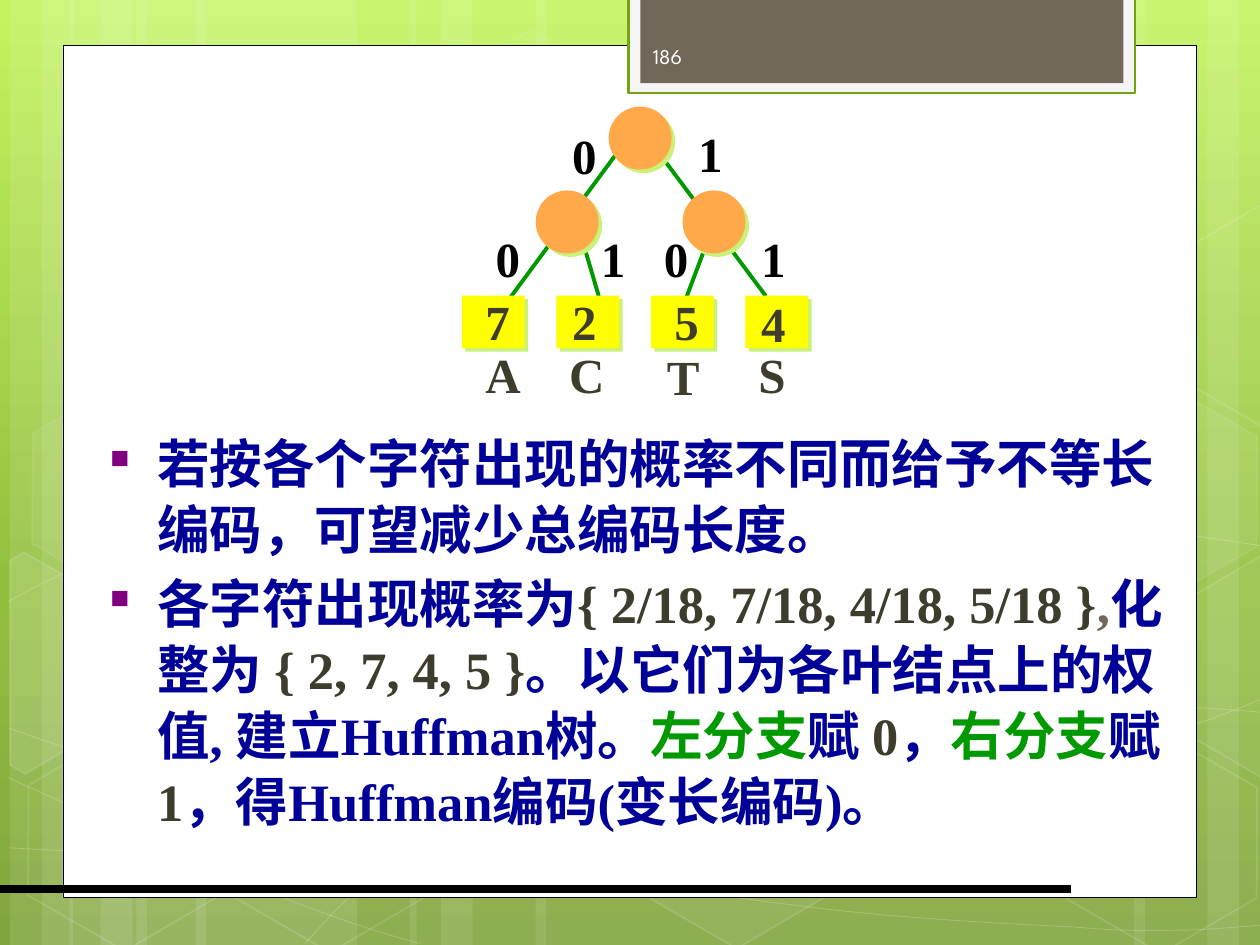
from copy import deepcopy
from math import cos, radians, sin

from lxml import etree
from pptx import Presentation
from pptx.dml.color import RGBColor
from pptx.enum.lang import MSO_LANGUAGE_ID
from pptx.enum.shapes import MSO_CONNECTOR, MSO_SHAPE
from pptx.enum.text import MSO_ANCHOR, PP_ALIGN
from pptx.oxml.ns import qn
from pptx.util import Cm, Pt

RECT = MSO_SHAPE.RECTANGLE
OVAL = MSO_SHAPE.OVAL
HEX = MSO_SHAPE.HEXAGON
LINE = MSO_CONNECTOR.STRAIGHT
LEFT, MID = PP_ALIGN.LEFT, PP_ALIGN.CENTER
TOP, HALF = MSO_ANCHOR.TOP, MSO_ANCHOR.MIDDLE
CHINESE = MSO_LANGUAGE_ID.SIMPLIFIED_CHINESE
SERIF = "Times New Roman"
WHITE, BLACK, NAVY, GREEN = "FFFFFF", "000000", "000099", "009900"
DARK, TAUPE = "3E3D2D", "71685A"
TILT = 30

BANDS = [(2.75, 4.45, 0), (0.2, 1.27, 0), (0.85, 2.12, 0), (3.95, 4.45, 0),
         (1.4, 1.27, 0), (2.03, 2.12, 0), (18.63, 4.45, 180), (24.34, 1.27, 180),
         (22.86, 2.12, 180), (10.8, 7.83, 0), (8.26, 1.27, 0), (8.89, 2.12, 0)]
CURVES = [
    [(0.18, 17.09), (1.55, 17.17), (2.92, 17.25), (4.83, 17.22), (6.73, 17.2),
     (9.09, 17.15), (11.63, 16.89), (14.17, 16.64), (17.78, 16.15),
     (20.12, 15.67), (22.43, 15.19), (24.82, 14.43), (25.58, 14)],
    [(0.18, 12.12), (0.91, 11.71), (1.65, 11.33), (3.07, 10.95), (4.52, 10.57),
     (6.58, 10.01), (8.81, 9.83), (11.07, 9.65), (13.82, 9.63),
     (16.61, 9.83), (19.41, 10.03), (24.05, 10.82), (25.58, 11.02)],
    [(0.15, 15.67), (3.23, 17.07), (6.27, 18.47), (8.48, 19.02)],
    [(0.18, 14.68), (0.97, 14.96), (1.78, 15.24), (3.25, 15.65), (4.72, 16.03),
     (6.93, 16.66), (9.07, 17.09), (11.18, 17.53), (13.84, 17.98),
     (15.95, 18.24), (18.06, 18.52), (20.32, 18.62), (21.67, 18.69),
     (22.99, 18.8), (23.34, 18.75), (24, 18.75), (24.66, 18.72),
     (25.12, 18.67), (25.58, 18.64)],
    [(6.15, 19.02), (6.6, 18.52), (7.06, 18.01), (7.67, 17.55), (8.28, 17.09),
     (9.14, 16.59), (9.86, 16.23), (10.57, 15.88), (11, 15.72),
     (11.94, 15.47), (12.85, 15.21), (14.55, 14.86), (15.44, 14.68),
     (16.36, 14.5), (16.48, 14.5), (17.27, 14.45), (18.06, 14.38),
     (19.3, 14.3), (20.17, 14.27), (21.06, 14.25), (22.5, 14.27),
     (22.5, 14.27), (23, 14.27), (23.7, 14.27), (24.21, 14.27),
     (24.66, 14.3), (25.1, 14.33), (25.32, 14.35), (25.55, 14.38),
     (25.48, 14.35), (25.55, 14.38)],
]
CELLS = [(8.48, 0.91, 4, 8), (12.62, 14.96, 6, 12), (0.28, 15.01, 0, 12),
         (0.36, 7.92, 7, 8), (4.42, 15.04, 0, 12), (19.13, 11.51, 10, 12),
         (21.18, 15.06, 0, 12), (21.18, 7.98, 7, 8)]
WEST = [(0.2, 11.3), (0.48, 11.13), (2.44, 12.24), (2.41, 14.48),
        (0.51, 15.6), (0.2, 15.42)]
EAST = [(23.52, 12.32), (25.43, 11.2), (25.63, 11.33), (25.63, 15.57),
        (25.45, 15.67), (23.52, 14.55)]
EDGES = [(14.17, 5.11, 13.77, 6.17), (12.9, 2.57, 15.44, 5.97),
         (11.63, 4.47, 12.07, 5.97), (12.5, 3, 10.16, 6.17)]
NODES = [(12.27, 2.15), (10.8, 3.84), (13.76, 3.84)]
BITS = [("0", 11.27, 2.39), ("1", 13.81, 2.36), ("0", 9.73, 4.47),
        ("1", 11.85, 4.47), ("0", 13.12, 4.47), ("1", 15.08, 4.47)]
LEAVES = [("7", 9.52, 5.74, "A", 9.53, 6.81, 1.22),
          ("2", 11.27, 5.74, "C", 11.22, 6.81, 1.22),
          ("5", 13.33, 5.74, "T", 13.19, 6.86, 1.17),
          ("4", 15.08, 5.79, "S", 15.03, 6.81, 1.07)]
NOTES = [
    [("若按各个字符出现的概率不同而给予不等长编码，可望减少总编码长度。", NAVY)],
    [("各字符出现概率为", NAVY), ("{ 2/18, 7/18, 4/18, 5/18 }", DARK),
     (",", TAUPE), ("化整为 ", NAVY), ("{ 2, 7, 4, 5 }", DARK),
     ("。以它们为各叶结点上的权值, 建立Huffman树。", NAVY),
     ("左分支", GREEN), ("赋 ", NAVY), ("0", DARK), ("，", NAVY),
     ("右分支", GREEN), ("赋 ", NAVY), ("1", DARK),
     ("，得Huffman编码(变长编码)。", NAVY)],
]


def tone(code):
    return RGBColor.from_string(code)


def node(up, tag, **atts):
    kid = etree.SubElement(up, qn(tag))
    for key, val in atts.items():
        kid.set(key, str(val))
    return kid


def veil(shape, where, part):
    for item in shape._element.spPr.xpath(where + "/a:srgbClr"):
        node(item, "a:alpha", val=part * 1000)


def paint(shape, fill=None, line=None, width=1, clear=100, faint=100):
    shape.shadow.inherit = False
    if fill and clear:
        shape.fill.solid()
        shape.fill.fore_color.rgb = tone(fill)
        if clear < 100:
            veil(shape, "a:solidFill", clear)
    else:
        shape.fill.background()
    if line:
        shape.line.color.rgb = tone(line)
        shape.line.width = Pt(width)
        if faint < 100:
            veil(shape, "a:ln/a:solidFill", faint)
    else:
        shape.line.fill.background()
    return shape


def block(slide, kind, x, y, w, h, **look):
    shape = slide.shapes.add_shape(kind, Cm(x), Cm(y), Cm(w), Cm(h))
    return paint(shape, **look)


def shade(shape):
    glow = shape._element.spPr.find(qn("a:effectLst"))
    drop = node(glow, "a:outerShdw", dist=Pt(2.8), dir=2700000, algn="ctr", rotWithShape=0)
    node(drop, "a:srgbClr", val="CAF278")


def trace(slide, spots, close, **look):
    spots = [(Cm(x), Cm(y)) for x, y in spots]
    pen = slide.shapes.build_freeform(*spots[0])
    pen.add_line_segments(spots[1:], close=close)
    return paint(pen.convert_to_shape(), **look)


def curve(slide, knots):
    shape = trace(slide, knots, False, line=WHITE, width=0.5, faint=20)
    legs = shape._element.spPr.xpath(".//a:lnTo")
    route = legs[0].getparent()
    for k in range(0, len(legs), 3):
        arc = node(route, "a:cubicBezTo")
        for leg in legs[k:k + 3]:
            arc.append(leg[0])
            route.remove(leg)


def shard(slide, spots, cx, cy, clear):
    c, s = cos(radians(TILT)), sin(radians(TILT))
    flat = [(cx + (x - cx) * c + (y - cy) * s, cy - (x - cx) * s + (y - cy) * c)
            for x, y in spots]
    shape = trace(slide, flat, True, fill=WHITE, clear=clear, line=WHITE, faint=12)
    shape.rotation = TILT


def link(slide, x1, y1, x2, y2, hue, width):
    wire = slide.shapes.add_connector(LINE, Cm(x1), Cm(y1), Cm(x2), Cm(y2))
    wire.line.color.rgb = tone(hue)
    wire.line.width = Pt(width)
    node(wire._element.spPr, "a:effectLst")


def bullet(para):
    para.line_spacing = 1.05
    para.space_before = Pt(4.5)
    prop = para._p.get_or_add_pPr()
    prop.set("marL", str(Cm(0.95)))
    prop.set("indent", str(-Cm(0.95)))
    node(node(prop, "a:buClr"), "a:srgbClr", val="800080")
    node(prop, "a:buSzPct", val=50000)
    node(prop, "a:buChar", char="■")


def write(slide, paras, x, y, w, h, size=28, font=SERIF, bold=True,
          align=MID, anchor=HALF, wrap=False, mark=False):
    frame = slide.shapes.add_textbox(Cm(x), Cm(y), Cm(w), Cm(h)).text_frame
    frame.word_wrap = wrap
    frame.vertical_anchor = anchor
    for i, runs in enumerate(paras):
        para = frame.add_paragraph() if i else frame.paragraphs[0]
        para.alignment = align
        if mark:
            bullet(para)
        for text, hue in runs:
            run = para.add_run()
            run.text = text
            run.font.size = Pt(size)
            run.font.name = font
            run.font.bold = bold
            run.font.color.rgb = tone(hue)
            run.font.language_id = CHINESE


def sky(slide):
    fill = slide.background.fill
    fill.gradient()
    fill.gradient_angle = 270
    stops = slide._element.xpath(".//a:gsLst")[0]
    stops.append(deepcopy(stops[-1]))
    looks = [(0, "C3F35F"), (0.62, "93BF3F"), (1, "81A53E")]
    for stop, (spot, hue) in zip(fill.gradient_stops, looks):
        stop.position = spot
        stop.color.rgb = tone(hue)


def decor(slide):
    for x, w, turn in BANDS:
        block(slide, RECT, x, 0, w, 19.05, fill=WHITE, clear=10).rotation = turn
    for knots in CURVES:
        curve(slide, knots)
    for x, y, clear, faint in CELLS:
        cell = block(slide, HEX, x, y, 4.45, 3.86, fill=WHITE, clear=clear,
                     line=WHITE, faint=faint)
        cell.rotation = TILT
        cell.adjustments[0] = 0.285
    high = [(x, y - 7.08) for x, y in EAST]
    shard(slide, WEST, 0.91, 13.59, 10)
    shard(slide, EAST, 25.02, 13.21, 4)
    shard(slide, high, 25.02, 6.13, 0)


def panel(slide):
    block(slide, RECT, 1.27, 0.91, 22.86, 17.19, fill=WHITE, line=BLACK, width=0.5)
    block(slide, RECT, 12.67, -0.05, 10.21, 1.93, fill="F5F5F5", line="74A510", width=1.25)
    block(slide, RECT, 12.91, -0.05, 9.74, 1.73, fill=TAUPE)
    link(slide, 0, 17.93, 21.6, 17.93, BLACK, 4.5)
    write(slide, [[("186", "FEFEFE")]], 12.91, 0.62, 3.71, 1.02, size=12,
          font="League Spartan", bold=False, align=LEFT, wrap=True)


def tree(slide):
    for edge in EDGES:
        link(slide, *edge, GREEN, 2.25)
    for x, y in NODES:
        shade(block(slide, OVAL, x, y, 1.27, 1.27, fill="FFA94A"))
    for i, (value, vx, vy, sign, sx, sy, sw) in enumerate(LEAVES):
        shade(block(slide, RECT, 9.31 + 1.905 * i, 5.96, 1.27, 1.06, fill="FFFF00"))
        write(slide, [[(value, DARK)]], vx, vy, 1.02, 1.45)
        write(slide, [[(sign, DARK)]], sx, sy, sw, 1.45)
    for bit, x, y in BITS:
        write(slide, [[(bit, BLACK)]], x, y, 1.02, 1.45)


def main():
    deck = Presentation()
    deck.slide_width, deck.slide_height = Cm(25.4), Cm(19.05)
    slide = deck.slides.add_slide(deck.slide_layouts[6])
    sky(slide)
    decor(slide)
    panel(slide)
    write(slide, NOTES, 1.97, 8.5, 22.43, 8.43, size=30, align=LEFT,
          anchor=TOP, wrap=True, mark=True)
    tree(slide)
    deck.save("out.pptx")


if __name__ == "__main__":
    main()
